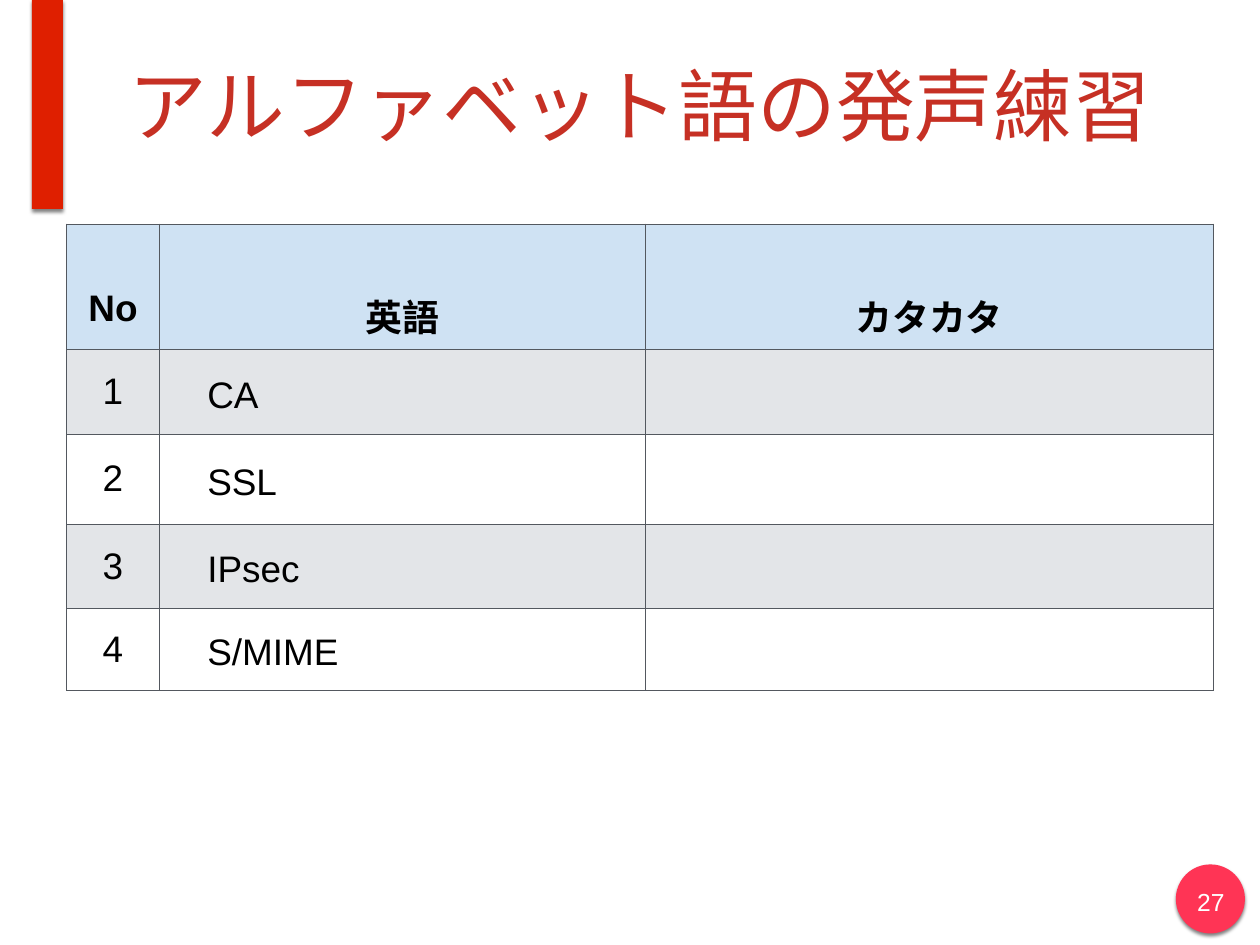
from dataclasses import dataclass

from lxml import etree
from pptx import Presentation
from pptx.dml.color import RGBColor
from pptx.enum import shapes, text
from pptx.oxml import ns
from pptx.util import Inches, Pt

TITLE = "アルファベット語の発声練習"
PAGE_NUMBER = "27"
HEADINGS = ("No", "英語", "カタカタ")
TERMS = ("CA", "SSL", "IPsec", "S/MIME")
COLUMN_WIDTHS = (1.05, 5.48, 6.41)
ROW_HEIGHTS = (1.42, 0.95, 1.02, 0.95, 0.93)


@dataclass(frozen=True)
class Theme:
    font: str = "Arial"
    title: str = "C63024"
    ink: str = "000000"
    paper: str = "FFFFFF"
    ribbon: str = "DF1F00"
    badge: str = "FF3455"
    header: str = "CFE2F3"
    band: str = "E3E5E8"
    border: str = "53585F"
    title_size: int = 64
    table_size: int = 30
    number_size: int = 20


THEME = Theme()


def write(frame, words, size, color, align, bold=False):
    para = frame.paragraphs[0]
    para.alignment = align
    span = para.add_run()
    span.text = words
    span.font.name = THEME.font
    span.font.size = Pt(size)
    span.font.bold = bold
    span.font.color.rgb = RGBColor.from_string(color)
    return para


def set_margins(target, side, top, bottom):
    target.margin_left = target.margin_right = Inches(side)
    target.margin_top, target.margin_bottom = Inches(top), Inches(bottom)


def add_solid(parent, color):
    fill = etree.SubElement(parent, ns.qn("a:solidFill"))
    return etree.SubElement(fill, ns.qn("a:srgbClr"), val=color)


def add_ornament(page, kind, place, color):
    shape = page.shapes.add_shape(kind, *map(Inches, place))
    shape.fill.solid()
    shape.fill.fore_color.rgb = RGBColor.from_string(color)
    shape.line.fill.background()
    shape.shadow.inherit = False
    effects = shape._element.spPr.find(ns.qn("a:effectLst"))
    shadow = etree.SubElement(
        effects, ns.qn("a:outerShdw"),
        blurRad=str(Pt(3)), dist=str(Pt(2)), dir="5400000", rotWithShape="0",
    )
    tint = add_solid_color(shadow, THEME.ink)
    etree.SubElement(tint, ns.qn("a:alpha"), val="49000")


def add_solid_color(parent, color):
    return etree.SubElement(parent, ns.qn("a:srgbClr"), val=color)


def style_cell(cell, color):
    cell.fill.solid()
    cell.fill.fore_color.rgb = RGBColor.from_string(color)
    cell.vertical_anchor = text.MSO_ANCHOR.MIDDLE
    set_margins(cell, 0.04, 0.03, 0.03)
    properties = cell._tc.get_or_add_tcPr()
    for index, side in enumerate(("lnL", "lnR", "lnT", "lnB")):
        edge = etree.Element(ns.qn(f"a:{side}"), w=str(Pt(0.75)))
        add_solid(edge, THEME.border)
        properties.insert(index, edge)


def add_term_table(page):
    rows = [HEADINGS] + [(str(number), term, "") for number, term in enumerate(TERMS, 1)]
    frame = page.shapes.add_table(
        len(rows), len(HEADINGS), Inches(0.75), Inches(2.53),
        Inches(sum(COLUMN_WIDTHS)), Inches(sum(ROW_HEIGHTS)),
    )
    table = frame.table
    for column, width in zip(table.columns, COLUMN_WIDTHS):
        column.width = Inches(width)
    for row, height in zip(table.rows, ROW_HEIGHTS):
        row.height = Inches(height)
    for r, row in enumerate(rows):
        heading = r == 0
        color = THEME.header if heading else THEME.band if r % 2 else THEME.paper
        for c, words in enumerate(row):
            cell = table.cell(r, c)
            style_cell(cell, color)
            if not words:
                continue
            is_term = c == 1 and not heading
            align = text.PP_ALIGN.LEFT if is_term else text.PP_ALIGN.CENTER
            para = write(cell.text_frame, words, THEME.table_size, THEME.ink, align, heading)
            if heading:
                para.line_spacing = 2.05
            if is_term:
                cell.margin_left, cell.margin_top = Inches(0.54), Inches(0.11)


def main():
    deck = Presentation()
    deck.slide_width, deck.slide_height = Inches(14.22), Inches(10.67)
    page = deck.slides.add_slide(deck.slide_layouts[5])

    add_ornament(page, shapes.MSO_SHAPE.OVAL, (13.27, 9.76, 0.78, 0.78), THEME.badge)
    add_ornament(page, shapes.MSO_SHAPE.RECTANGLE, (0.36, 0, 0.35, 2.36), THEME.ribbon)

    title = page.shapes.title
    title.left, title.top = Inches(1.39), Inches(0.12)
    title.width, title.height = Inches(12.14), Inches(2.12)
    number = page.shapes.add_textbox(*map(Inches, (13.42, 9.95, 0.49, 0.45)))
    for box in (title, number):
        frame = box.text_frame
        frame.word_wrap = True
        frame.auto_size = text.MSO_AUTO_SIZE.NONE
        frame.vertical_anchor = text.MSO_ANCHOR.MIDDLE
        set_margins(frame, 0.06, 0.06, 0.06)
    write(title.text_frame, TITLE, THEME.title_size, THEME.title, text.PP_ALIGN.LEFT)
    write(number.text_frame, PAGE_NUMBER, THEME.number_size, THEME.paper, text.PP_ALIGN.CENTER)

    add_term_table(page)
    deck.save("out.pptx")


if __name__ == "__main__":
    main()
